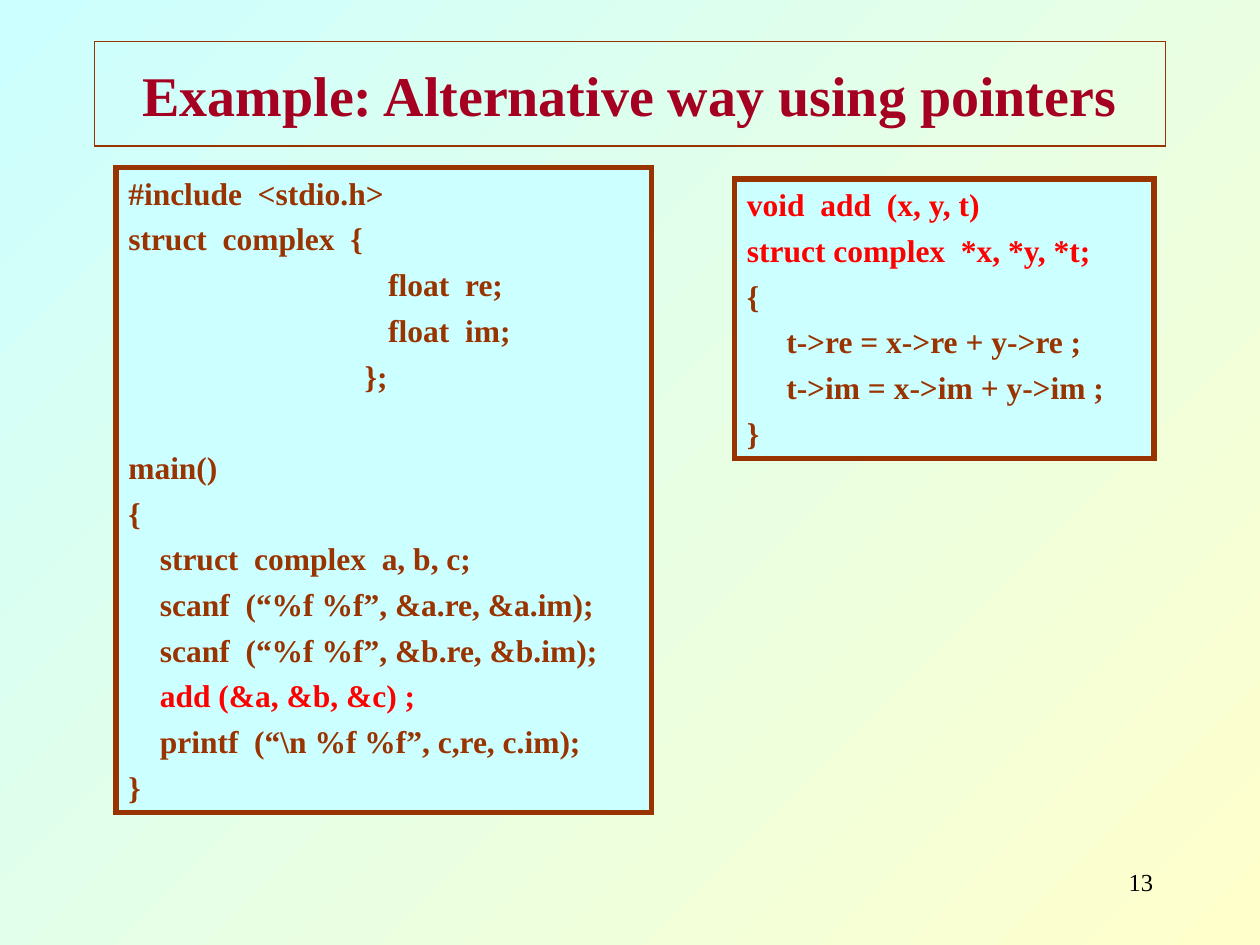
from lxml import etree
from pptx import Presentation
from pptx.dml.color import RGBColor
from pptx.enum.shapes import MSO_SHAPE
from pptx.enum.text import MSO_ANCHOR, MSO_AUTO_SIZE, PP_ALIGN
from pptx.oxml.ns import qn
from pptx.util import Inches, Pt

RECTANGLE = MSO_SHAPE.RECTANGLE
TOP, MIDDLE = MSO_ANCHOR.TOP, MSO_ANCHOR.MIDDLE
LEFT, CENTER, RIGHT = PP_ALIGN.LEFT, PP_ALIGN.CENTER, PP_ALIGN.RIGHT
NO_AUTOFIT = MSO_AUTO_SIZE.NONE

FONT = "Times New Roman"
BROWN, RED, DARK_RED, BLACK = "993300", "FF0000", "A50021", "000000"
PALE_CYAN, PALE_YELLOW = "CCFFFF", "FFFFCC"
CODE_SIZE = 18
SPACE_WIDTH = CODE_SIZE / 4 / 72  # inches per column of code indent
LINE_GAP = 4.5
BLANK_LINE = 26.1

# Each line of code: indent in columns, text, colour (None text is an empty line)
MAIN_CODE = [
    (0, "#include  <stdio.h>", BROWN),
    (0, "struct  complex  {", BROWN),
    (33, "float  re;", BROWN),
    (33, "float  im;", BROWN),
    (30, "};", BROWN),
    (0, None, BROWN),
    (0, "main()", BROWN),
    (0, "{", BROWN),
    (4, "struct  complex  a, b, c;", BROWN),
    (4, "scanf  (“%f %f”, &a.re, &a.im);", BROWN),
    (4, "scanf  (“%f %f”, &b.re, &b.im);", BROWN),
    (4, "add (&a, &b, &c) ;", RED),
    (4, "printf  (“\\n %f %f”, c,re, c.im);", BROWN),
    (0, "}", BROWN),
]
ADD_CODE = [
    (0, "void  add  (x, y, t)", RED),
    (0, "struct complex  *x, *y, *t;", RED),
    (0, "{", BROWN),
    (5, "t->re = x->re + y->re ;", BROWN),
    (5, "t->im = x->im + y->im ;", BROWN),
    (0, "}", BROWN),
]


def rgb(value):
    return RGBColor.from_string(value)


def box_lengths(box):
    return [Inches(length) for length in box]


def add_run(paragraph, text, size, color, bold=False):
    run = paragraph.add_run()
    run.text = text
    run.font.name = FONT
    run.font.size = Pt(size)
    run.font.bold = bold
    run.font.color.rgb = rgb(color)


def set_outline(shape, width):
    shape.line.color.rgb = rgb(BROWN)
    shape.line.width = Pt(width)
    # Square corners
    line = shape._element.spPr.find(qn("a:ln"))
    etree.SubElement(line, qn("a:miter")).set("lim", "800000")


def set_background(slide):
    fill = slide.background.fill
    fill.gradient()
    fill.gradient_angle = 135
    for stop, color in zip(fill.gradient_stops, (PALE_YELLOW, PALE_CYAN)):
        stop.color.rgb = rgb(color)


def place_title(slide, box, text):
    title = slide.shapes.title
    title.left, title.top, title.width, title.height = box_lengths(box)
    set_outline(title, 0.75)
    frame = title.text_frame
    frame.auto_size = NO_AUTOFIT
    frame.vertical_anchor = MIDDLE
    paragraph = frame.paragraphs[0]
    paragraph.alignment = CENTER
    add_run(paragraph, text, 32, DARK_RED, bold=True)


def add_code_box(slide, box, lines):
    shape = slide.shapes.add_shape(RECTANGLE, *box_lengths(box))
    shape.shadow.inherit = False
    shape.fill.solid()
    shape.fill.fore_color.rgb = rgb(PALE_CYAN)
    set_outline(shape, 3)
    frame = shape.text_frame
    frame.word_wrap = True
    frame.vertical_anchor = TOP
    paragraph = frame.paragraphs[0]
    gap = LINE_GAP
    for index, (columns, text, color) in enumerate(lines):
        if text is None:
            gap += BLANK_LINE
            continue
        if index:
            paragraph = frame.add_paragraph()
        paragraph.alignment = LEFT
        paragraph.space_before = Pt(gap)
        gap = LINE_GAP
        if columns:
            # python-pptx has no public left margin for paragraphs
            margin = Inches(columns * SPACE_WIDTH)
            paragraph._p.get_or_add_pPr().set("marL", str(margin))
        add_run(paragraph, text, CODE_SIZE, color, bold=True)


def add_page_number(slide, box, number):
    frame = slide.shapes.add_textbox(*box_lengths(box)).text_frame
    frame.word_wrap = True
    paragraph = frame.paragraphs[0]
    paragraph.alignment = RIGHT
    add_run(paragraph, number, 14, BLACK)


def main():
    presentation = Presentation()
    presentation.slide_width = Inches(10)
    presentation.slide_height = Inches(7.5)
    slide = presentation.slides.add_slide(presentation.slide_layouts[5])

    set_background(slide)
    place_title(slide, (0.75, 0.33, 8.5, 0.83),
                "Example: Alternative way using pointers")
    add_code_box(slide, (0.92, 1.33, 4.25, 5.12), MAIN_CODE)
    add_code_box(slide, (5.83, 1.42, 3.33, 2.22), ADD_CODE)
    add_page_number(slide, (7.17, 6.83, 2.08, 0.5), "13")

    presentation.save("out.pptx")


if __name__ == "__main__":
    main()
